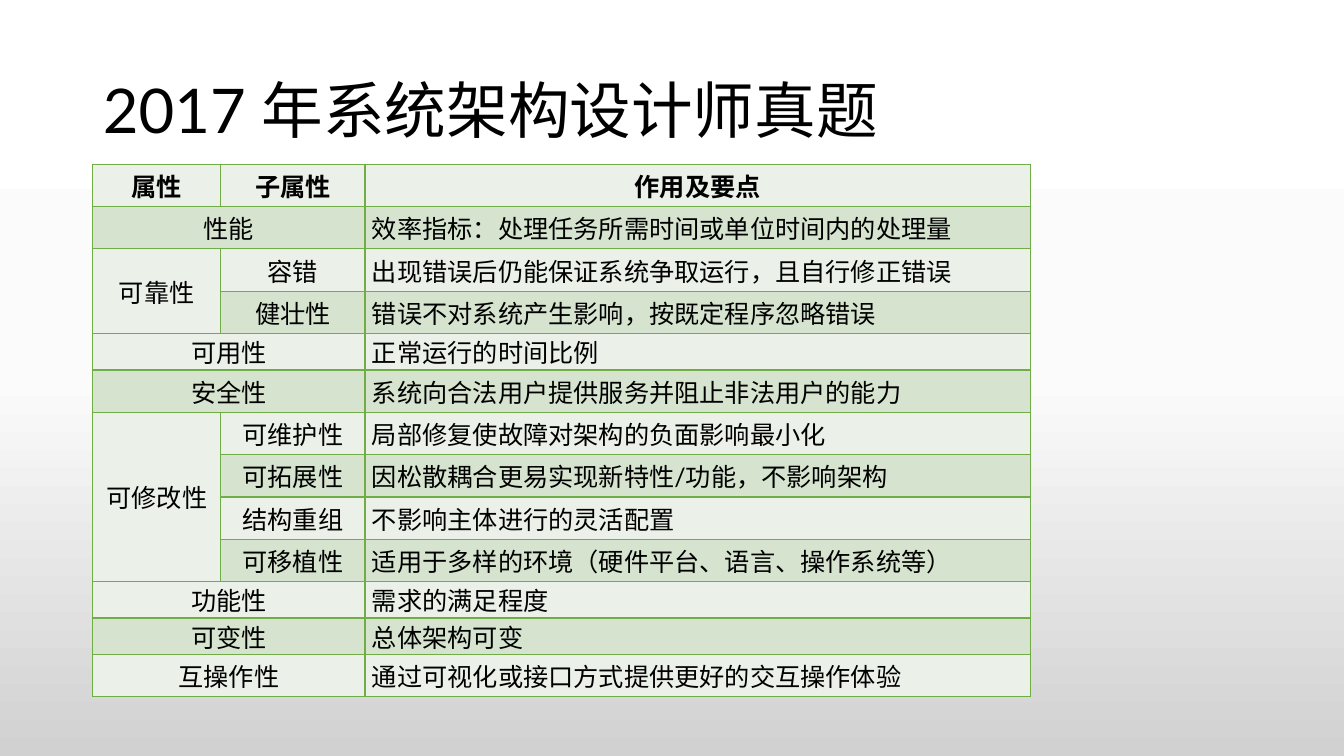
import copy

import lxml.etree
import pptx
import pptx.dml.color
import pptx.enum.text
import pptx.oxml.ns
import pptx.util

RGBColor = pptx.dml.color.RGBColor
BLACK = RGBColor(0x00, 0x00, 0x00)
GREEN = RGBColor(0x70, 0xAD, 0x47)
BANDS = (RGBColor(0xEB, 0xF1, 0xE9), RGBColor(0xD5, 0xE3, 0xCF))
BACKDROP = ((0, RGBColor(0xFF, 0xFF, 0xFF)),
            (0.5, RGBColor(0xFB, 0xFB, 0xFB)),
            (1, RGBColor(0xD1, 0xD1, 0xD1)))

FONT = "Lato"
WIDTH, HEIGHT = 13.33, 7.5
LEFT = 0.92
COLUMNS = (1.27, 1.43, 6.6)
ROW, SHORT_ROW = 0.42, 0.3
SHORT_ROWS = {"可用性", "功能性", "可变性"}

# Attribute, sub-attribute, key points. An empty sub-attribute joins the
# attribute across; an empty attribute joins the one above it.
ROWS = [
    ("属性", "子属性", "作用及要点"),
    ("性能", "", "效率指标:处理任务所需时间或单位时间内的处理量".replace(":", "\uff1a")),
    ("可靠性", "容错", "出现错误后仍能保证系统争取运行\uff0c且自行修正错误"),
    ("", "健壮性", "错误不对系统产生影响\uff0c按既定程序忽略错误"),
    ("可用性", "", "正常运行的时间比例"),
    ("安全性", "", "系统向合法用户提供服务并阻止非法用户的能力"),
    ("可修改性", "可维护性", "局部修复使故障对架构的负面影响最小化"),
    ("", "可拓展性", "因松散耦合更易实现新特性/功能\uff0c不影响架构"),
    ("", "结构重组", "不影响主体进行的灵活配置"),
    ("", "可移植性", "适用于多样的环境\uff08硬件平台、语言、操作系统等\uff09"),
    ("功能性", "", "需求的满足程度"),
    ("可变性", "", "总体架构可变"),
    ("互操作性", "", "通过可视化或接口方式提供更好的交互操作体验"),
]


def inches(*lengths):
    return [pptx.util.Inches(length) for length in lengths]


def apply(target, formats):
    for name, value in formats.items():
        setattr(target, name, value)


def write(tf, text, size, bold, paragraph_formats):
    p = tf.paragraphs[0]
    apply(p, paragraph_formats)
    r = p.add_run()
    r.text = text
    apply(r.font, {"name": FONT, "size": pptx.util.Pt(size), "bold": bold})
    r.font.color.rgb = BLACK


def paint_background(s):
    fill = s.background.fill
    fill.gradient()
    fill.gradient_angle = 270
    stop_list = s.element.find(".//" + pptx.oxml.ns.qn("a:gsLst"))
    stop_list.append(copy.deepcopy(stop_list[-1]))
    for stop, (position, color) in zip(fill.gradient_stops, BACKDROP):
        stop.position = position
        stop.color.rgb = color


def add_title(s, text):
    sp = s.shapes.title
    left, top, width, height = inches(LEFT, 0.4, 11.5, 1.45)
    apply(sp, {"left": left, "top": top, "width": width, "height": height})
    apply(sp.text_frame, {
        "vertical_anchor": pptx.enum.text.MSO_ANCHOR.MIDDLE,
        "auto_size": pptx.enum.text.MSO_AUTO_SIZE.NONE,
        "word_wrap": True})
    write(sp.text_frame, text, 44, False,
          {"alignment": pptx.enum.text.PP_ALIGN.LEFT, "line_spacing": 0.9})


def add_borders(cell):
    qn = pptx.oxml.ns.qn
    properties = cell._tc.get_or_add_tcPr()
    for index, side in enumerate(("lnL", "lnR", "lnT", "lnB")):
        line = lxml.etree.Element(qn("a:" + side), w=str(pptx.util.Pt(1)))
        fill = lxml.etree.SubElement(line, qn("a:solidFill"))
        lxml.etree.SubElement(fill, qn("a:srgbClr"), val=str(GREEN))
        properties.insert(index, line)


def format_cell(cell, row):
    side, edge = inches(0.07, 0)
    apply(cell, {"margin_left": side, "margin_right": side,
                 "margin_top": edge, "margin_bottom": edge,
                 "vertical_anchor": pptx.enum.text.MSO_ANCHOR.MIDDLE})
    cell.fill.solid()
    cell.fill.fore_color.rgb = BANDS[row % 2]
    add_borders(cell)


def merge_groups(table):
    for row, (attribute, sub_attribute, _) in enumerate(ROWS):
        if not sub_attribute:
            table.cell(row, 0).merge(table.cell(row, 1))
        elif attribute:
            last = row
            while last + 1 < len(ROWS) and not ROWS[last + 1][0]:
                last += 1
            if last > row:
                table.cell(row, 0).merge(table.cell(last, 0))


def add_attribute_table(s):
    heights = [SHORT_ROW if row[0] in SHORT_ROWS else ROW for row in ROWS]
    box = inches(LEFT, 1.63, sum(COLUMNS), sum(heights))
    table = s.shapes.add_table(len(ROWS), len(COLUMNS), *box).table
    apply(table, {"first_row": False, "horz_banding": False})
    for column, width in zip(table.columns, inches(*COLUMNS)):
        column.width = width
    for row, height in zip(table.rows, inches(*heights)):
        row.height = height

    align = pptx.enum.text.PP_ALIGN
    for i, texts in enumerate(ROWS):
        for j, text in enumerate(texts):
            cell = table.cell(i, j)
            format_cell(cell, i)
            if text:
                centred = i == 0 or j < 2
                write(cell.text_frame, text, 18, i == 0,
                      {"alignment": align.CENTER if centred else align.LEFT})
    merge_groups(table)


def main():
    prs = pptx.Presentation()
    prs.slide_width, prs.slide_height = inches(WIDTH, HEIGHT)
    s = prs.slides.add_slide(prs.slide_layouts.get_by_name("Title Only"))
    paint_background(s)
    add_title(s, "2017 年系统架构设计师真题")
    add_attribute_table(s)
    prs.save("out.pptx")


main()
